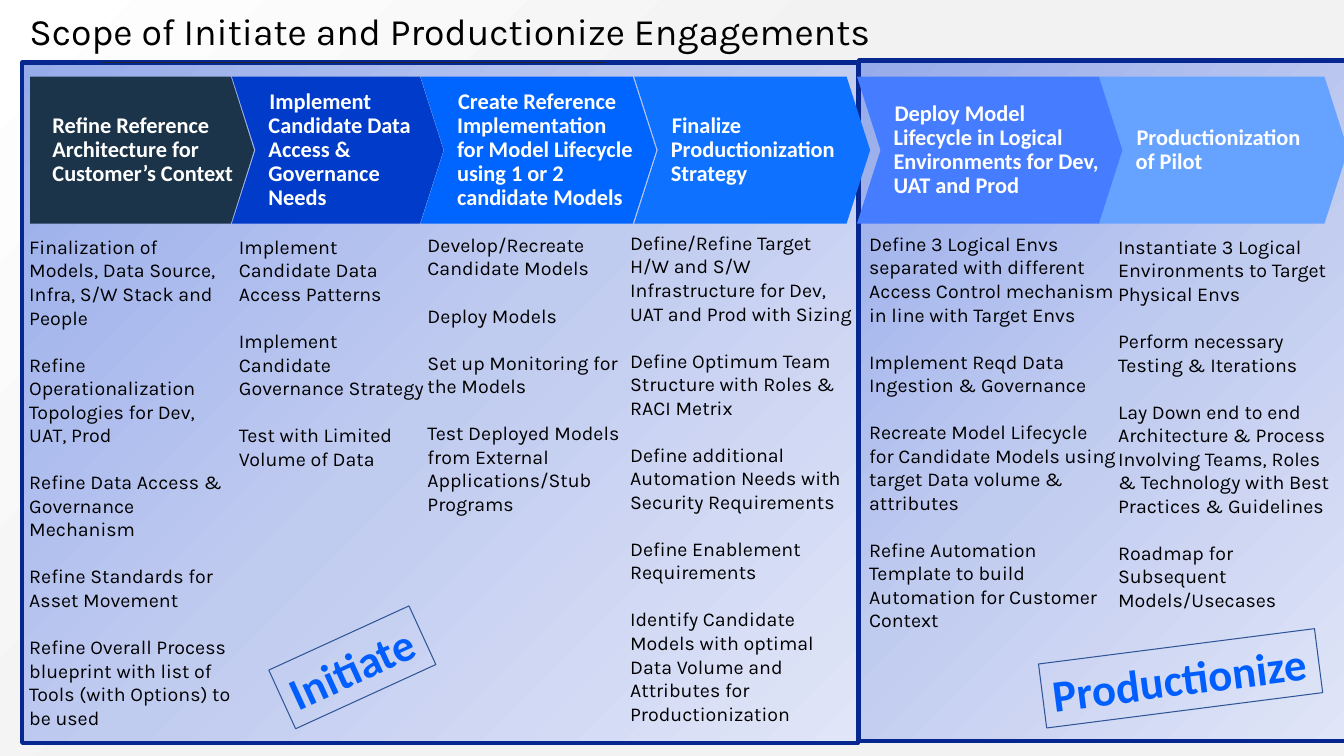
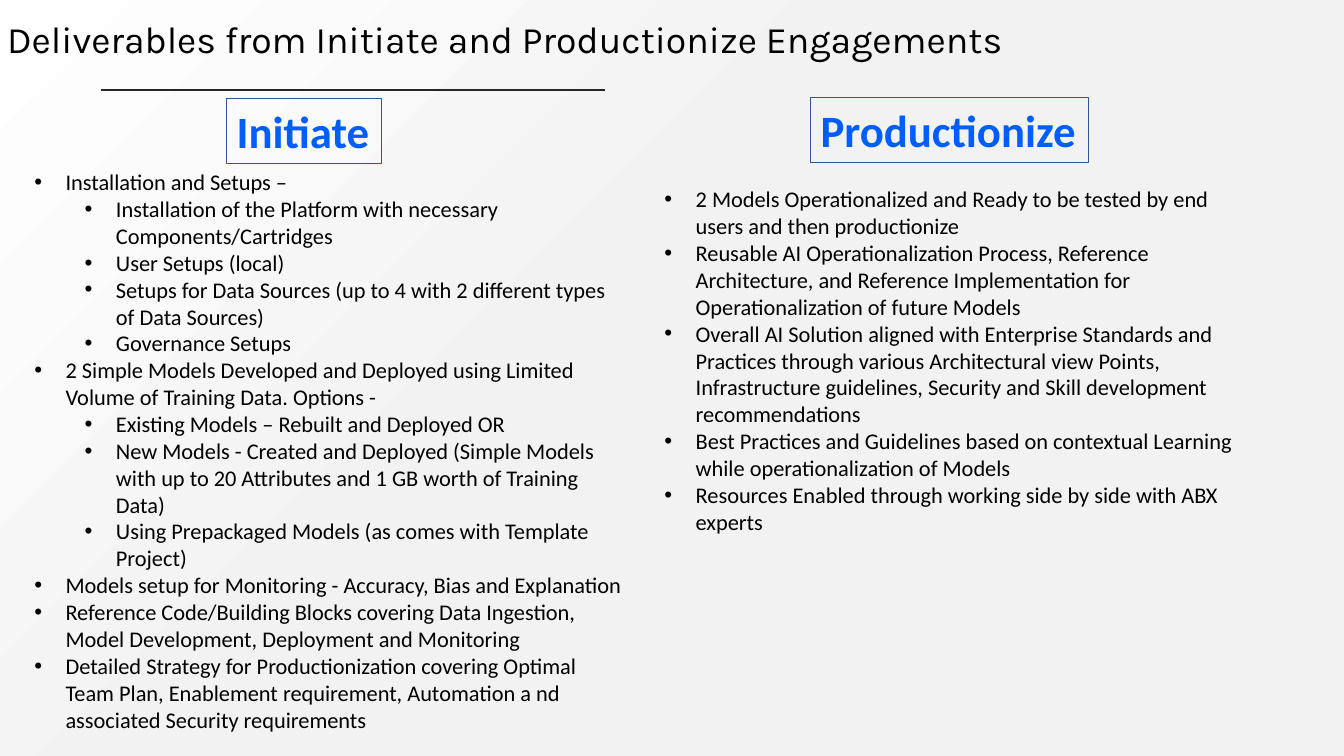
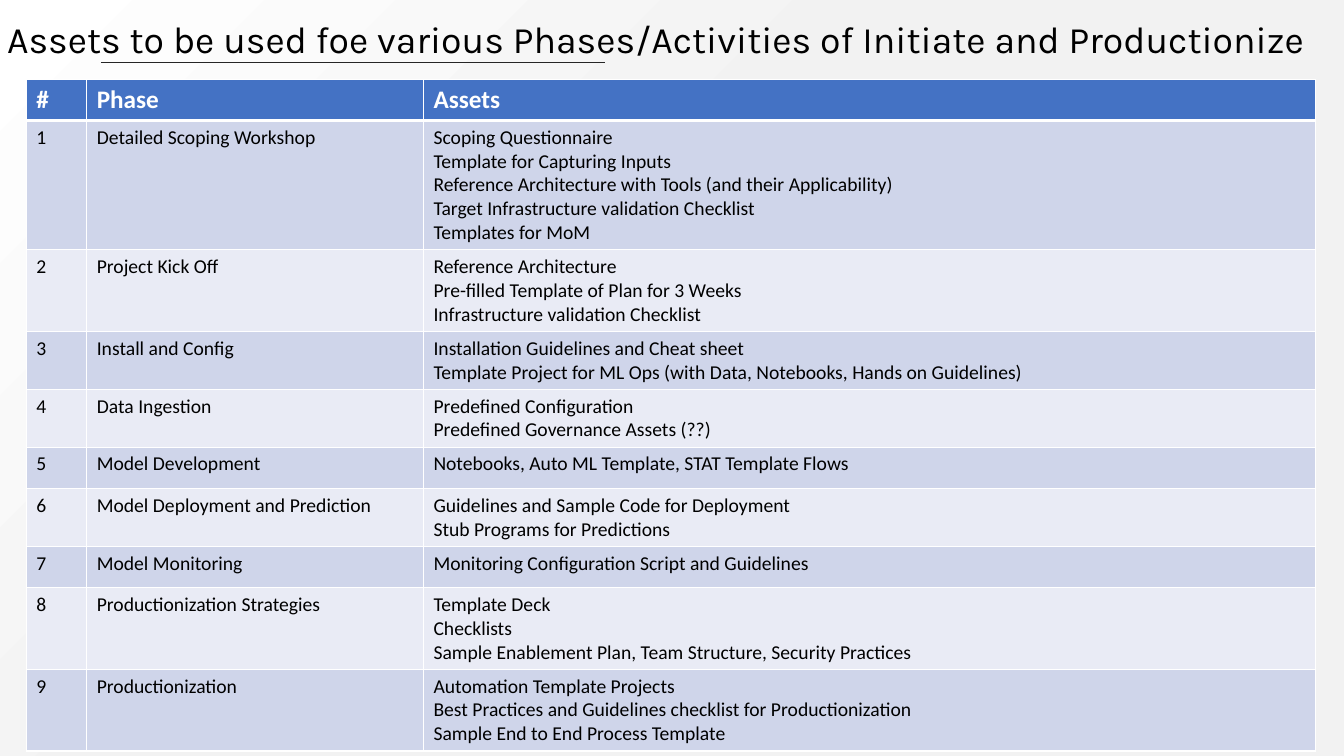
from copy import deepcopy
from dataclasses import dataclass

from lxml.etree import SubElement
from pptx import Presentation
from pptx.dml.color import RGBColor
from pptx.enum.shapes import MSO_CONNECTOR, MSO_SHAPE
from pptx.enum.text import MSO_ANCHOR as Anchor, MSO_AUTO_SIZE as AutoSize, PP_ALIGN as Align
from pptx.oxml.ns import qn
from pptx.util import Inches, Pt


@dataclass(frozen=True)
class Theme:
    black: str = "000000"
    white: str = "FFFFFF"
    rule: str = "262626"
    zone_line: str = "05278F"
    tag: str = "005EFF"
    tag_line: str = "2F5597"
    header: str = "4472C4"
    bands: tuple = ("CFD5EA", "E9EBF5")
    page: tuple = ((0, "FFFFFF"), (44, "F2F2F2"))
    zone: tuple = ((0, "96ABEA"), (50, "C0CBF0"), (100, "E0E5F7"))
    heading_font: str = "Karla"
    body_font: str = "Calibri"
    title_size: float = 26.7
    tag_size: int = 32
    header_size: int = 18
    body_size: int = 16
    small_size: int = 14


T = Theme()
TITLE = dict(name=T.heading_font, size=T.title_size, color=T.black)
STEP = dict(name=T.body_font, size=T.body_size, color=T.white, bold=True)
TASK = dict(name=T.heading_font, size=T.small_size, color=T.black)
TAG = dict(name=T.body_font, size=T.tag_size, color=T.tag, bold=True)
BULLET = dict(name=T.body_font, size=T.body_size, color=T.black)
HEADER = dict(name=T.body_font, size=T.header_size, color=T.white, bold=True)
CELL = dict(name=T.body_font, size=T.small_size, color=T.black, bold=False)

# Content: scope slide
SCOPE_TITLE = "Scope of Initiate and Productionize Engagements"
ZONES = [(8.52, 0.6, 4.86, 6.75), (0.22, 0.62, 8.29, 6.75)]
STEP_TOP, STEP_HEIGHT, STEP_POINT = 0.76, 1.46, 0.23
# step, colour, left, width, then tasks, their left, top and width
STEPS = [
    ("Refine Reference Architecture for Customer’s Context", "1C3449", 0.3, 2.22,
     ["Finalization of Models, Data Source, Infra, S/W Stack and People",
      "Refine Operationalization\vTopologies for Dev, UAT, Prod",
      "Refine Data Access & Governance Mechanism",
      "Refine Standards for Asset Movement",
      "Refine Overall Process blueprint with list of Tools (with Options) to be used"],
     0.22, 2.26, 2.14),
    ("Implement Candidate Data Access & Governance Needs", "003BC9", 2.3, 2.1,
     ["Implement Candidate Data Access Patterns",
      "Implement Candidate Governance Strategy",
      "Test with Limited Volume of Data"],
     2.3, 2.26, 2.07),
    ("Create Reference Implementation for Model Lifecycle using 1 or 2 candidate Models",
     "0064FF", 4.17, 2.34,
     ["Develop/Recreate Candidate Models",
      "Deploy Models",
      "Set up Monitoring for the Models",
      "Test Deployed Models from External Applications/Stub Programs"],
     4.17, 2.24, 2.07),
    ("Finalize Productionization Strategy", "0F71FF", 6.29, 2.34,
     ["Define/Refine Target H/W and S/W Infrastructure for Dev, UAT and Prod with Sizing",
      "Define Optimum Team Structure with Roles & RACI Metrix",
      "Define additional Automation Needs with Security Requirements",
      "Define Enablement Requirements",
      "Identify Candidate Models with optimal Data Volume and Attributes for Productionization"],
     6.18, 2.22, 2.34),
    ("Deploy Model Lifecycle in Logical Environments for Dev, UAT and Prod",
     "467CFF", 8.5, 2.64,
     ["Define 3 Logical Envs separated with different Access Control mechanism in line with Target Envs",
      "Implement Reqd Data Ingestion & Governance",
      "Recreate Model Lifecycle for Candidate Models using target Data volume & attributes",
      "Refine Automation Template to build Automation for Customer Context"],
     8.55, 2.23, 2.59),
    ("Productionization of Pilot", "66A2FF", 10.9, 2.47,
     ["Instantiate 3 Logical Environments to Target Physical Envs",
      "Perform necessary Testing & Iterations",
      "Lay Down end to end Architecture & Process Involving Teams, Roles & Technology "
      "with Best Practices & Guidelines",
      "Roadmap for Subsequent Models/Usecases"],
     11.02, 2.26, 2.24),
]
TAG_WIDTHS = {"Initiate": 1.53, "Productionize": 2.76}
SCOPE_TAGS = [("Initiate", 2.73, 6.3, 335.4), ("Productionize", 10.33, 6.41, 352.7)]

# Content: deliverables slide, as (level, text)
DELIVERABLES_TITLE = "Deliverables from Initiate and Productionize Engagements"
INITIATE = [
    (0, "Installation and Setups –"),
    (1, "Installation of the Platform with necessary Components/Cartridges"),
    (1, "User Setups (local)"),
    (1, "Setups for Data Sources (up to 4 with 2 different types of Data Sources)"),
    (1, "Governance Setups"),
    (0, "2 Simple Models Developed and Deployed using Limited Volume of Training Data. Options -"),
    (1, "Existing Models – Rebuilt and Deployed OR"),
    (1, "New Models - Created and Deployed (Simple Models with up to 20 Attributes "
        "and 1 GB worth of Training Data)"),
    (1, "Using Prepackaged Models (as comes with Template Project)"),
    (0, "Models setup for Monitoring - Accuracy, Bias and Explanation"),
    (0, "Reference Code/Building Blocks covering Data Ingestion, Model Development, "
        "Deployment and Monitoring"),
    (0, "Detailed Strategy for Productionization covering Optimal Team Plan, Enablement "
        "requirement, Automation a nd associated Security requirements"),
]
PRODUCTIONIZE = [
    (0, "2 Models Operationalized and Ready to be tested by end users and then productionize"),
    (0, "Reusable AI Operationalization Process, Reference Architecture, and Reference "
        "Implementation for Operationalization of future Models"),
    (0, "Overall AI Solution aligned with Enterprise Standards and Practices through various "
        "Architectural view Points, Infrastructure guidelines, Security and Skill development "
        "recommendations"),
    (0, "Best Practices and Guidelines based on contextual Learning while operationalization of Models"),
    (0, "Resources Enabled through working side by side with ABX experts"),
]
DELIVERABLES = [(INITIATE, (0.24, 1.62, 6.05, 5.76)), (PRODUCTIONIZE, (6.49, 1.79, 6.05, 3.87))]
DELIVERABLES_TAGS = [("Initiate", 2.25, 0.98, 0), ("Productionize", 8.04, 0.97, 0)]

# Content: assets slide
ASSETS_TITLE = "Assets to be used foe various Phases/Activities of Initiate and Productionize"
ASSET_COLUMNS = [("#", 0.6), ("Phase", 3.34), ("Assets", 8.85)]
ASSETS = [
    ("Detailed Scoping Workshop",
     ["Scoping Questionnaire", "Template for Capturing Inputs",
      "Reference Architecture with Tools (and their Applicability)",
      "Target Infrastructure validation Checklist", "Templates for MoM"]),
    ("Project Kick Off",
     ["Reference Architecture", "Pre-filled Template of Plan for 3 Weeks",
      "Infrastructure validation Checklist"]),
    ("Install and Config",
     ["Installation Guidelines and Cheat sheet",
      "Template Project for ML Ops (with Data, Notebooks, Hands on Guidelines)"]),
    ("Data Ingestion", ["Predefined Configuration", "Predefined Governance Assets (??)"]),
    ("Model Development", ["Notebooks, Auto ML Template, STAT Template Flows"]),
    ("Model Deployment and Prediction",
     ["Guidelines and Sample Code for Deployment", "Stub Programs for Predictions"]),
    ("Model Monitoring", ["Monitoring Configuration Script and Guidelines"]),
    ("Productionization Strategies",
     ["Template Deck", "Checklists",
      "Sample Enablement Plan, Team Structure, Security Practices"]),
    ("Productionization",
     ["Automation Template Projects",
      "Best Practices and Guidelines checklist for Productionization",
      "Sample End to End Process Template"]),
]


# Shared helpers
def rgb(code):
    return RGBColor.from_string(code)


def box(*lengths):
    return [Inches(length) for length in lengths]


def place(shape, area):
    shape.left, shape.top, shape.width, shape.height = box(*area)


def paint_gradient(fill, element, stops):
    fill.gradient()
    fill.gradient_angle = 315
    stop_list = element.find(".//" + qn("a:gsLst"))
    while len(stop_list) < len(stops):
        stop_list.append(deepcopy(stop_list[-1]))
    for stop, (position, color) in zip(fill.gradient_stops, stops):
        stop.position = position / 100
        stop.color.rgb = rgb(color)


def set_frame(frame, margins=(0.1, 0.05, 0.1, 0.05), anchor=Anchor.TOP, wrap=True,
              auto_size=AutoSize.NONE):
    sides = ("margin_left", "margin_top", "margin_right", "margin_bottom")
    values = dict(zip(sides, box(*margins)), vertical_anchor=anchor, word_wrap=wrap,
                  auto_size=auto_size)
    for key, value in values.items():
        setattr(frame, key, value)


def write(frame, lines, style, gap=0, line_spacing=1.0):
    frame.text = "\n".join(lines)
    for index, paragraph in enumerate(frame.paragraphs):
        paragraph.alignment = Align.LEFT
        paragraph.space_before = Pt(gap if index else 0)
        paragraph.line_spacing = line_spacing
        for run in paragraph.runs:
            values = dict(style, size=Pt(style["size"]))
            run.font.color.rgb = rgb(values.pop("color"))
            for key, value in values.items():
                setattr(run.font, key, value)


def indent(paragraph, left, first):
    properties = paragraph._p.get_or_add_pPr()
    properties.set("marL", str(Inches(left)))
    properties.set("indent", str(Inches(first)))
    return properties


def add_heading(slide, text, area, rule_top):
    rule = slide.shapes.add_connector(MSO_CONNECTOR.STRAIGHT, *box(1, rule_top, 6, rule_top))
    rule.line.color.rgb = rgb(T.rule)
    rule.line.width = Pt(1.25)
    SubElement(rule.element.spPr, qn("a:effectLst"))
    title = slide.shapes.title
    place(title, area)
    set_frame(title.text_frame, (0.07,) * 4)
    write(title.text_frame, [text], TITLE)


def add_tags(slide, tags):
    for text, left, top, rotation in tags:
        tag = slide.shapes.add_textbox(*box(left, top, TAG_WIDTHS[text], 0.64))
        tag.rotation = rotation
        tag.line.color.rgb = rgb(T.tag_line)
        tag.line.width = Pt(0.75)
        set_frame(tag.text_frame, wrap=False, auto_size=AutoSize.SHAPE_TO_FIT_TEXT)
        write(tag.text_frame, [text], TAG)


# Scope slide
def first_step_shape(slide, left, width):
    right, bottom = left + width, STEP_TOP + STEP_HEIGHT
    shoulder = right - STEP_POINT
    outline = slide.shapes.build_freeform(*box(left, STEP_TOP))
    outline.add_line_segments([box(shoulder, STEP_TOP), box(right, STEP_TOP + STEP_HEIGHT / 2),
                               box(shoulder, bottom), box(left, bottom)])
    return outline.convert_to_shape()


def add_step(slide, index, text, color, left, width):
    if index == 0:
        step = first_step_shape(slide, left, width)
    else:
        step = slide.shapes.add_shape(MSO_SHAPE.CHEVRON, *box(left, STEP_TOP, width, STEP_HEIGHT))
        step.adjustments[0] = 0.16
    step.shadow.inherit = False
    step.fill.solid()
    step.fill.fore_color.rgb = rgb(color)
    step.line.fill.background()
    set_frame(step.text_frame, (0.13, 0, 0, 0), Anchor.MIDDLE)
    write(step.text_frame, [text], STEP, line_spacing=0.9)
    indent(step.text_frame.paragraphs[0], *((0, 0.01) if index else (0.09, 0)))


def build_scope(slide):
    for area in ZONES:
        zone = slide.shapes.add_shape(MSO_SHAPE.RECTANGLE, *box(*area))
        zone.shadow.inherit = False
        paint_gradient(zone.fill, zone.element, T.zone)
        zone.line.color.rgb = rgb(T.zone_line)
        zone.line.width = Pt(3)
    add_heading(slide, SCOPE_TITLE, (0.22, 0.01, 13.04, 0.58), 0.62)
    for index, (text, color, left, width, tasks, *task_area) in enumerate(STEPS):
        add_step(slide, index, text, color, left, width)
        column = slide.shapes.add_textbox(*box(*task_area, 4.5))
        set_frame(column.text_frame, (0.07,) * 4)
        write(column.text_frame, tasks, TASK, gap=16.8)
    add_tags(slide, SCOPE_TAGS)


# Deliverables slide
def build_deliverables(slide):
    add_heading(slide, DELIVERABLES_TITLE, (0, 0.09, 11.21, 0.58), 0.89)
    for body, (items, area) in zip(list(slide.placeholders)[1:], DELIVERABLES):
        place(body, area)
        set_frame(body.text_frame)
        write(body.text_frame, [text for _, text in items], BULLET)
        for paragraph, (level, _) in zip(body.text_frame.paragraphs, items):
            paragraph.level = level
            properties = indent(paragraph, 0.31 + 0.5 * level, -0.31)
            SubElement(properties, qn("a:buFont"), typeface="Arial")
            SubElement(properties, qn("a:buChar"), char="•")
    add_tags(slide, DELIVERABLES_TAGS)


# Assets slide
def add_borders(cell, row):
    properties = cell._tc.get_or_add_tcPr()
    for side in "LRTB":
        heavy = (row, side) in ((0, "B"), (1, "T"))
        border = SubElement(properties, qn("a:ln" + side), w=str(Pt(3 if heavy else 1)))
        SubElement(SubElement(border, qn("a:solidFill")), qn("a:srgbClr"), val=T.white)


def build_assets(slide):
    add_heading(slide, ASSETS_TITLE, (0, 0.09, 13.08, 0.58), 0.62)
    rows = [[[name] for name, _ in ASSET_COLUMNS]]
    rows += [[[str(n)], [phase], assets] for n, (phase, assets) in enumerate(ASSETS, 1)]
    table = slide.shapes.add_table(len(rows), len(ASSET_COLUMNS),
                                   *box(0.26, 0.79, 12.79, 4.08)).table
    for column, (_, width) in zip(table.columns, ASSET_COLUMNS):
        column.width = Inches(width)
    for r, cells in enumerate(rows):
        table.rows[r].height = Inches(0.41 if r else 0.39)
        for c, lines in enumerate(cells):
            cell = table.cell(r, c)
            add_borders(cell, r)
            cell.fill.solid()
            cell.fill.fore_color.rgb = rgb(T.bands[(r - 1) % 2] if r else T.header)
            write(cell.text_frame, lines, CELL if r else HEADER)


def main():
    deck = Presentation()
    deck.slide_width, deck.slide_height = box(13.33, 7.5)
    master = deck.slide_master
    paint_gradient(master.background.fill, master.element, T.page)
    title_only, two_content = deck.slide_layouts[5], deck.slide_layouts[3]
    for layout, build in ((title_only, build_scope), (two_content, build_deliverables),
                          (title_only, build_assets)):
        build(deck.slides.add_slide(layout))
    deck.save("out.pptx")


if __name__ == "__main__":
    main()
